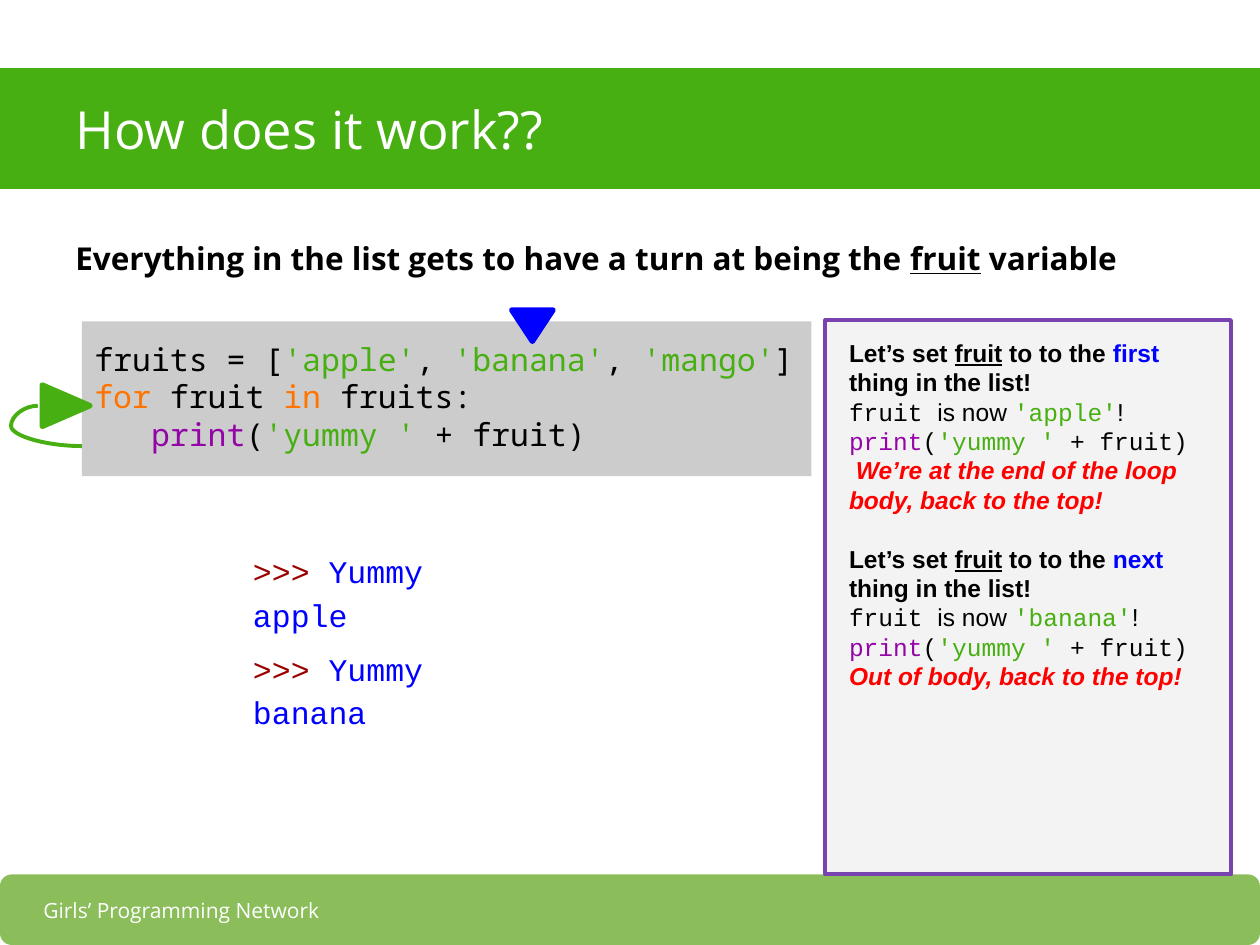
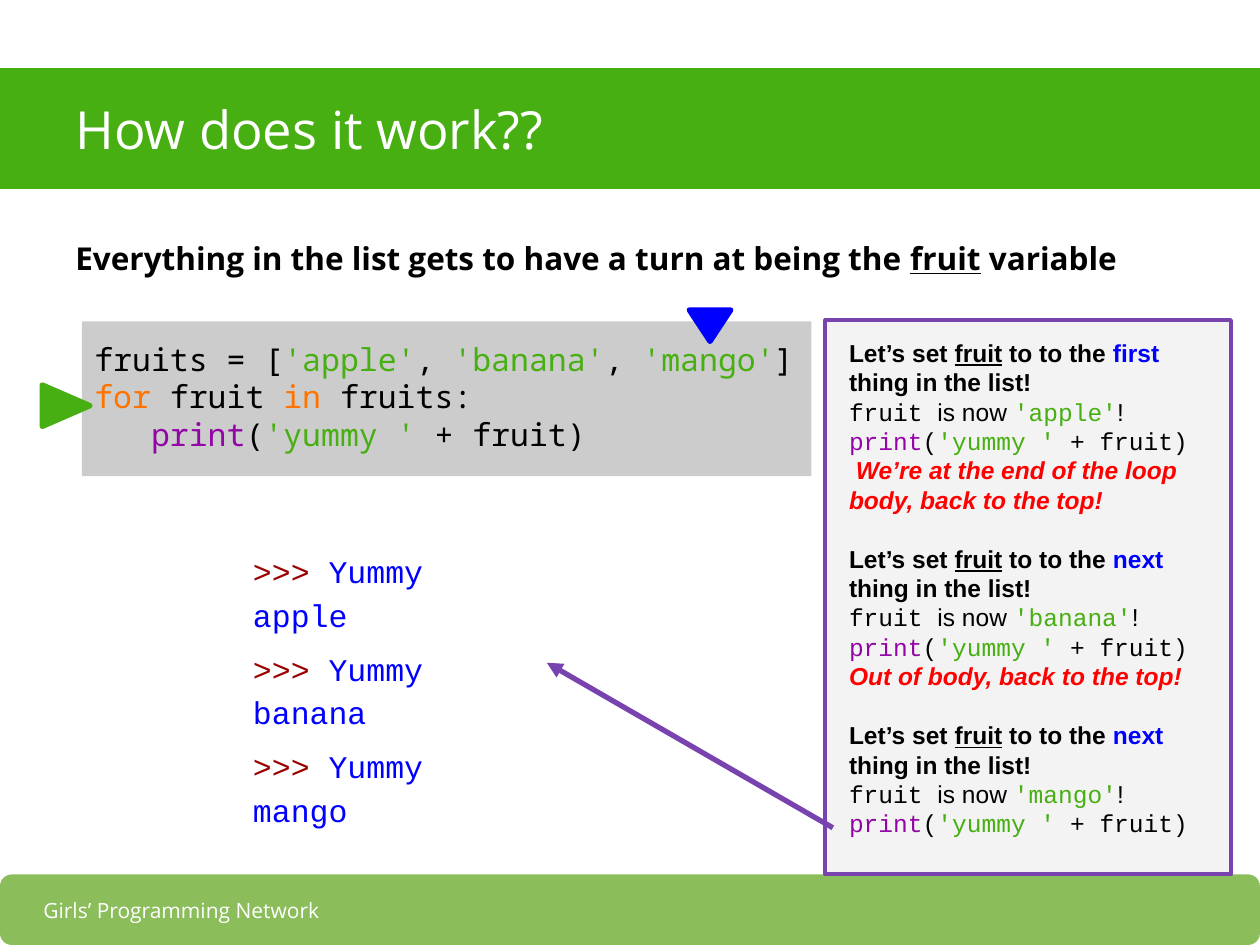
"""Build two slides that step through a Python for loop over a list of fruits."""
from dataclasses import dataclass, replace
from typing import NamedTuple

from lxml import etree
from pptx import Presentation
from pptx.dml.color import RGBColor
from pptx.enum.shapes import MSO_CONNECTOR, MSO_SHAPE
from pptx.enum.text import MSO_ANCHOR, PP_ALIGN
from pptx.oxml.ns import qn
from pptx.util import Inches, Pt

RECTANGLE = MSO_SHAPE.RECTANGLE
ROUNDED = MSO_SHAPE.ROUNDED_RECTANGLE
TRIANGLE = MSO_SHAPE.ISOSCELES_TRIANGLE
STRAIGHT, CURVE = MSO_CONNECTOR.STRAIGHT, MSO_CONNECTOR.CURVE
TOP, MIDDLE = MSO_ANCHOR.TOP, MSO_ANCHOR.MIDDLE
LEFT, CENTER = PP_ALIGN.LEFT, PP_ALIGN.CENTER

WIDTH, HEIGHT = Inches(10), Inches(7.5)
COLUMNS, ROWS = 100, 75
INSET = Inches(0.1)

GREEN, FOOTER_GREEN, PURPLE = "47AF11", "8BBD5B", "7943AF"
BLACK, WHITE, BLUE, RED = "000000", "FFFFFF", "0000FF", "FF0000"
CODE_GREY, PANEL_GREY = "CCCCCC", "F3F3F3"
KEYWORD, BUILTIN, PROMPT = "FF7400", "9305A6", "9A0000"


class Area(NamedTuple):
    """A place on the grid, in columns and rows."""
    left: float
    top: float
    width: float
    height: float


class Point(NamedTuple):
    """A position on the grid."""
    column: float
    row: float


@dataclass(frozen=True)
class Style:
    """The look of a span of text."""
    font: str
    size: int
    color: str = BLACK
    bold: bool = False
    italic: bool = False
    underline: bool = False


class Span(NamedTuple):
    """Text in one style."""
    text: str
    style: Style


class Line(NamedTuple):
    """A paragraph with its spacing."""
    spans: list[Span]
    before: float = 0
    spacing: float = 1


class Turn(NamedTuple):
    """One pass of the loop, as told in the side panel."""
    order: str
    fruit: str
    ending: str = ""


class Step(NamedTuple):
    """What one slide shows of the loop."""
    turns: list[Turn]
    marker_left: float
    loops_back: bool


TITLE = Style("Open Sans", 30, WHITE)
FOOTER = Style("Open Sans", 12, WHITE)
HEADING = Style("Open Sans", 18, bold=True)
CODE = Style("Noto Sans Mono", 18)
SHELL = Style("Courier New", 18, BLUE)
NOTE = Style("Arial", 14)
NOTE_BOLD = replace(NOTE, bold=True)
NOTE_CODE = replace(NOTE, font="Courier New")
NOTE_END = replace(NOTE_BOLD, color=RED, italic=True)

FOOTER_BAND = Area(0, 69.4, 100, 5.6)
FOOTER_TEXT = Area(0, 70.3, 28.8, 3.8)
TITLE_BAND = Area(-0.7, 5.4, 101.2, 9.6)
TITLE_TEXT = Area(5, 5.4, 90, 9.6)
HEADING_TEXT = Area(5, 17.5, 90, 9.6)
CODE_BOX = Area(6.5, 25.5, 57.9, 12.3)
PANEL = Area(65.5, 25.4, 32.2, 44)
PANEL_TEXT = Area(66.4, 25.8, 31.3, 42.2)
SHELL_TEXT = Area(19.1, 42.4, 24.3, 14.6)
LOOP_MARKER = Area(3.6, 30.3, 3.3, 3.8)
ITEM_TOP, ITEM_WIDTH, ITEM_HEIGHT = 24.6, 3.3, 2.5

TURNS = [
    Turn("first ", "apple", " We’re at the end of the loop body, back to the top!"),
    Turn("next ", "banana", "Out of body, back to the top!"),
    Turn("next ", "mango"),
]
STEPS = [Step(TURNS[:2], 40.6, True), Step(TURNS, 54.7, False)]


def rgb(color: str) -> RGBColor:
    """Turn a hex string into a colour."""
    return RGBColor.from_string(color)


def across(columns: float) -> int:
    """Convert grid columns to a length."""
    return round(WIDTH * columns / COLUMNS)


def down(rows: float) -> int:
    """Convert grid rows to a length."""
    return round(HEIGHT * rows / ROWS)


def frame(area: Area) -> tuple[int, int, int, int]:
    """Give the left, top, width and height of an area."""
    return across(area.left), down(area.top), across(area.width), down(area.height)


def add_panel(page, kind, area: Area, fill: str, border: str = "", weight: float = 0):
    """Draw a filled shape, with a border if one is named."""
    shape = page.shapes.add_shape(kind, *frame(area))
    shape.shadow.inherit = False
    shape.fill.solid()
    shape.fill.fore_color.rgb = rgb(fill)
    if border:
        shape.line.color.rgb = rgb(border)
        shape.line.width = Pt(weight)
    else:
        shape.line.fill.background()
    return shape


def add_marker(page, area: Area, rotation: int, color: str) -> None:
    """Draw a turned triangle with rounded corners."""
    marker = add_panel(page, TRIANGLE, area, color, color, 3)
    marker.rotation = rotation
    etree.SubElement(marker.element.spPr.find(qn("a:ln")), qn("a:round"))


def write(box, lines: list[Line], anchor=TOP, align=LEFT) -> None:
    """Fill a box with styled paragraphs."""
    text_frame = box.text_frame
    text_frame.word_wrap = True
    text_frame.vertical_anchor = anchor
    text_frame.margin_left = text_frame.margin_right = INSET
    text_frame.margin_top = text_frame.margin_bottom = INSET
    for index, line in enumerate(lines):
        para = text_frame.add_paragraph() if index else text_frame.paragraphs[0]
        para.alignment = align
        para.line_spacing = line.spacing
        para.space_before = Pt(line.before)
        for span in line.spans:
            run = para.add_run()
            run.text = span.text
            font, style = run.font, span.style
            font.name, font.size = style.font, Pt(style.size)
            font.bold, font.italic = style.bold, style.italic
            font.underline = style.underline
            font.color.rgb = rgb(style.color)


def add_text(page, area: Area, lines: list[Line], anchor=TOP, align=LEFT) -> None:
    """Place a text box."""
    write(page.shapes.add_textbox(*frame(area)), lines, anchor, align)


def add_line(page, kind, start: Point, end: Point, color: str, weight: float):
    """Draw a connector without a shadow."""
    line = page.shapes.add_connector(
        kind, across(start.column), down(start.row), across(end.column), down(end.row))
    line.line.color.rgb = rgb(color)
    line.line.width = Pt(weight)
    etree.SubElement(line.element.spPr, qn("a:effectLst"))
    return line


def tinted(style: Style, *parts: tuple[str, str]) -> list[Span]:
    """Make spans of one style in several colours."""
    return [Span(text, replace(style, color=color)) for text, color in parts]


def print_call(style: Style) -> list[Span]:
    """Give the body of the loop."""
    return tinted(style, ("print", BUILTIN), ("(", BLACK), ("'yummy '", GREEN),
                  (" + fruit)", BLACK))


def code_lines() -> list[Line]:
    """Give the program."""
    listing = tinted(CODE, ("fruits = [", BLACK), ("'apple'", GREEN), (", ", BLACK),
                     ("'banana'", GREEN), (", ", BLACK), ("'mango'", GREEN), ("]", BLACK))
    loop = tinted(CODE, ("for ", KEYWORD), ("fruit ", BLACK), ("in ", KEYWORD),
                  ("fruits:", BLACK))
    return [Line(listing, spacing=1.15), Line(loop),
            Line([Span("   ", CODE), *print_call(CODE)])]


def turn_lines(turn: Turn, before: float) -> list[Line]:
    """Explain one pass of the loop."""
    opening = [Span("Let’s set ", NOTE_BOLD),
               Span("fruit", replace(NOTE_BOLD, underline=True)),
               *tinted(NOTE_BOLD, (" to to the ", BLACK), (turn.order, BLUE),
                       ("thing in the list!", BLACK))]
    value = [Span("fruit ", NOTE_CODE), Span("is now ", NOTE),
             *tinted(NOTE_CODE, (f"'{turn.fruit}'", GREEN)), Span("!", NOTE)]
    lines = [Line(opening, before), Line(value), Line(print_call(NOTE_CODE))]
    if turn.ending:
        lines.append(Line([Span(turn.ending, NOTE_END)]))
    return lines


def shell_lines(turns: list[Turn]) -> list[Line]:
    """Give the output of every pass so far."""
    return [Line(tinted(SHELL, (">>> ", PROMPT), (f"Yummy {turn.fruit}", BLUE)),
                 6 if index else 0, 1.15)
            for index, turn in enumerate(turns)]


def draw_base(page) -> None:
    """Draw the footer, title, heading, program and empty panel."""
    add_panel(page, ROUNDED, FOOTER_BAND, FOOTER_GREEN)
    add_text(page, FOOTER_TEXT, [Line([Span("Girls’ Programming Network", FOOTER)])],
             MIDDLE, CENTER)
    add_panel(page, RECTANGLE, TITLE_BAND, GREEN)
    add_panel(page, RECTANGLE, PANEL, PANEL_GREY, PURPLE, 2.25)
    add_text(page, TITLE_TEXT, [Line([Span("How does it work??", TITLE)])], MIDDLE)
    heading = [Span("Everything in the list gets to have a turn at being the ", HEADING),
               Span("fruit", replace(HEADING, underline=True)),
               Span(" variable", HEADING)]
    add_text(page, HEADING_TEXT, [Line(heading, spacing=1.15)])
    write(add_panel(page, RECTANGLE, CODE_BOX, CODE_GREY), code_lines())


def draw_step(page, step: Step) -> None:
    """Draw one stage of the loop."""
    draw_base(page)
    notes = [line for index, turn in enumerate(step.turns)
             for line in turn_lines(turn, 16.8 if index else 0)]
    add_text(page, PANEL_TEXT, notes)
    add_marker(page, LOOP_MARKER, 90, GREEN)
    add_marker(page, Area(step.marker_left, ITEM_TOP, ITEM_WIDTH, ITEM_HEIGHT), 180, BLUE)
    if step.loops_back:
        loop = add_line(page, CURVE, Point(3, 32.2), Point(6.5, 35.4), GREEN, 2.25)
        guides = loop.element.spPr.find(qn("a:prstGeom")).find(qn("a:avLst"))
        etree.SubElement(guides, qn("a:gd"), name="adj1", fmla="val -60800")
    else:
        arrow = add_line(page, STRAIGHT, Point(66.1, 65.7), Point(43.4, 52.6), PURPLE, 3)
        etree.SubElement(arrow.element.spPr.find(qn("a:ln")), qn("a:tailEnd"),
                         type="triangle")
    add_text(page, SHELL_TEXT, shell_lines(step.turns))


def main() -> None:
    """Build and save the deck."""
    deck = Presentation()
    deck.slide_width, deck.slide_height = WIDTH, HEIGHT
    for step in STEPS:
        draw_step(deck.slides.add_slide(deck.slide_layouts[6]), step)
    deck.save("out.pptx")


if __name__ == "__main__":
    main()
